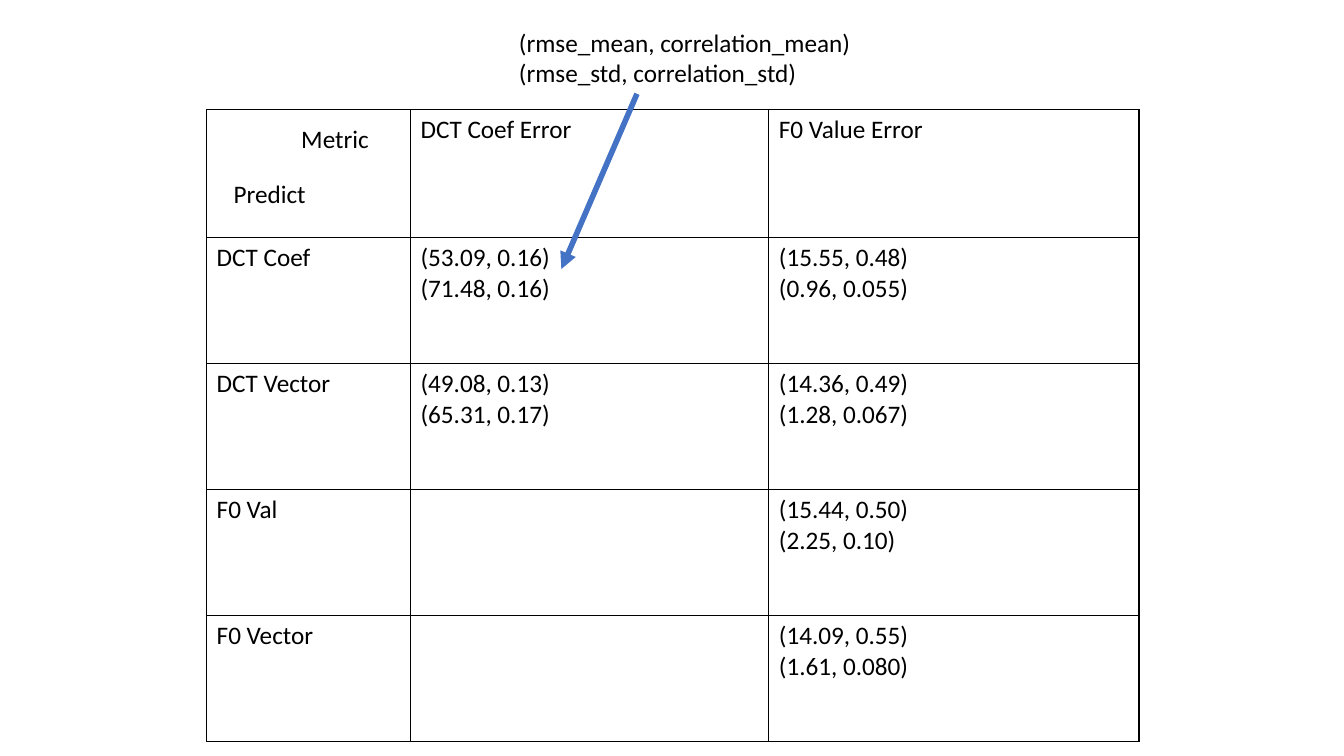
from pptx import Presentation
from pptx.dml.color import RGBColor
from pptx.enum.shapes import MSO_CONNECTOR
from pptx.enum.text import MSO_AUTO_SIZE
from pptx.oxml import parse_xml
from pptx.oxml.ns import nsdecls
from pptx.util import Pt

COLORS = {"text": "000000", "border": "000000", "cell": "FFFFFF", "arrow": "4472C4"}
FONT = {"name": "Calibri", "size": Pt(18), "bold": False}
COL_WIDTHS = [145.6, 256, 264.4]
ROW_HEIGHTS = [91] + [90] * 4
ROWS = [
    ["", "DCT Coef Error", "F0 Value Error"],
    ["DCT Coef", "(53.09, 0.16)\n(71.48, 0.16)", "(15.55, 0.48)\n(0.96, 0.055)"],
    ["DCT Vector", "(49.08, 0.13)\n(65.31, 0.17)", "(14.36, 0.49)\n(1.28, 0.067)"],
    ["F0 Val", "", "(15.44, 0.50)\n(2.25, 0.10)"],
    ["F0 Vector", "", "(14.09, 0.55)\n(1.61, 0.080)"],
]


class Builder:
    """Holds the style and the current slide."""

    def __init__(self, s):
        """Keep the slide to draw on."""
        self.s = s

    def fill_text(self, tf, text):
        """Fill a text frame and style each run."""
        tf.text = text
        for p in tf.paragraphs:
            for r in p.runs:
                for key, value in FONT.items():
                    setattr(r.font, key, value)
                r.font.color.rgb = RGBColor.from_string(COLORS["text"])

    def text(self, box, text, wrap=False):
        """Add a text box that grows with its text."""
        sp = self.s.shapes.add_textbox(*map(Pt, box))
        tf = sp.text_frame
        tf.word_wrap = wrap
        tf.auto_size = MSO_AUTO_SIZE.SHAPE_TO_FIT_TEXT
        self.fill_text(tf, text)

    def border(self, cell):
        """Draw a thin line on the four sides of a cell."""
        tc_pr = cell._tc.get_or_add_tcPr()
        for i, side in enumerate(("lnL", "lnR", "lnT", "lnB")):
            tc_pr.insert(i, parse_xml(
                f'<a:{side} {nsdecls("a")} w="{Pt(1)}"><a:solidFill>'
                f'<a:srgbClr val="{COLORS["border"]}"/></a:solidFill></a:{side}>'))

    def table(self, left, top, rows, widths, heights):
        """Add a plain bordered table."""
        box = map(Pt, (left, top, sum(widths), sum(heights)))
        table = self.s.shapes.add_table(len(rows), len(widths), *box).table
        table.first_row = table.horz_banding = False
        for col, width in zip(table.columns, widths):
            col.width = Pt(width)
        for row, height, texts in zip(table.rows, heights, rows):
            row.height = Pt(height)
            for cell, text in zip(row.cells, texts):
                cell.fill.solid()
                cell.fill.fore_color.rgb = RGBColor.from_string(COLORS["cell"])
                self.border(cell)
                self.fill_text(cell.text_frame, text)

    def arrow(self, start, end, width):
        """Add a straight line with a head at its end."""
        sp = self.s.shapes.add_connector(
            MSO_CONNECTOR.STRAIGHT, *map(Pt, (*start, *end)))
        sp.line.width = Pt(width)
        sp.line.color.rgb = RGBColor.from_string(COLORS["arrow"])
        ln = sp.line._get_or_add_ln()
        ln.append(parse_xml(f'<a:tailEnd {nsdecls("a")} type="triangle"/>'))
        ln.addnext(parse_xml(f'<a:effectLst {nsdecls("a")}/>'))


prs = Presentation()
prs.slide_width, prs.slide_height = Pt(960), Pt(540)
b = Builder(prs.slides.add_slide(prs.slide_layouts[6]))
b.table(147.6, 78.5, ROWS, COL_WIDTHS, ROW_HEIGHTS)
b.text((159.8, 123.8, 66.2, 29), "Predict")
b.text((208.1, 84.2, 63.4, 29), "Metric")
b.text((363.6, 15.8, 255.6, 51), "(rmse_mean, correlation_mean)\n(rmse_std, correlation_std)", wrap=True)
b.arrow((455, 67), (401, 192.2), 4)
prs.save("out.pptx")
